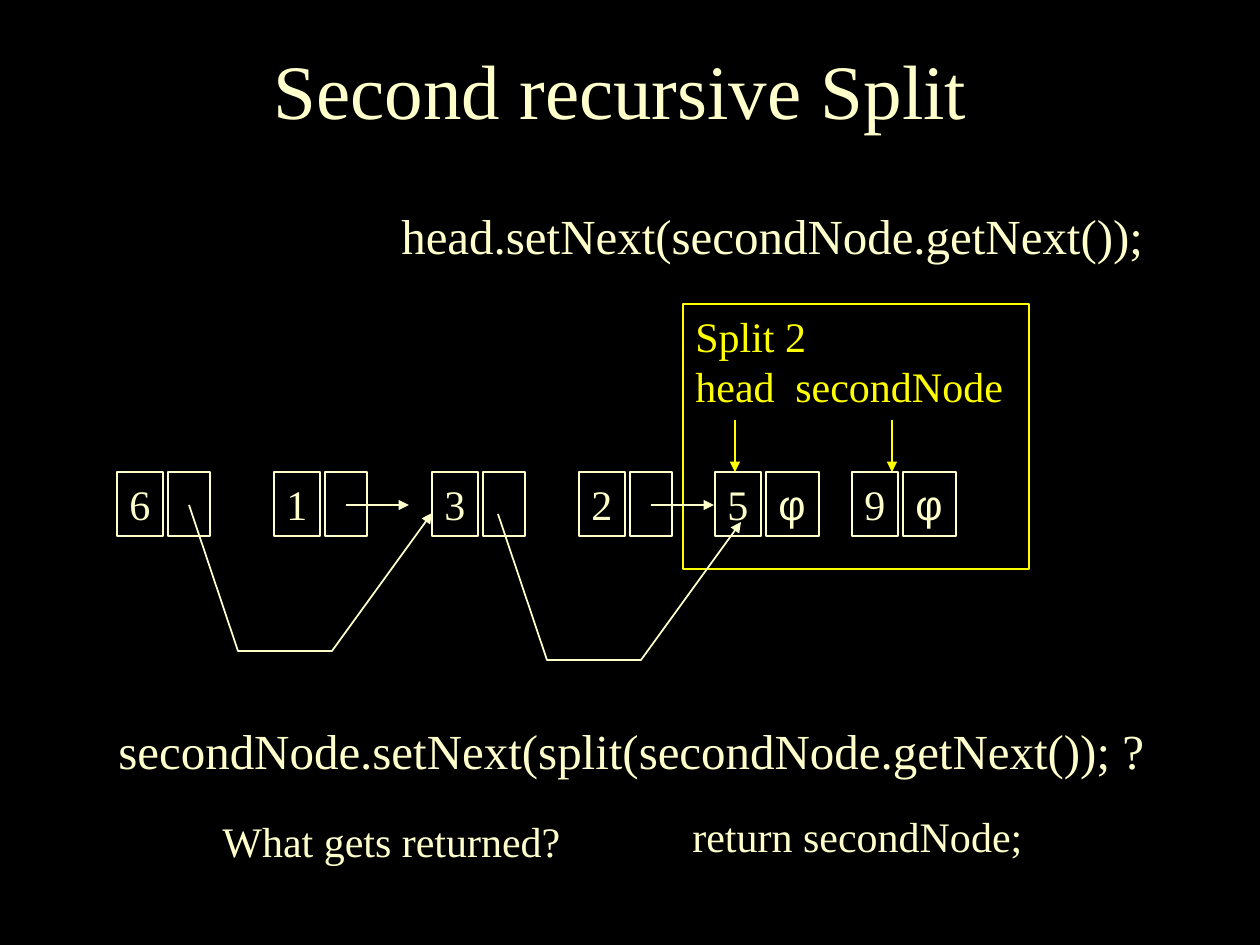
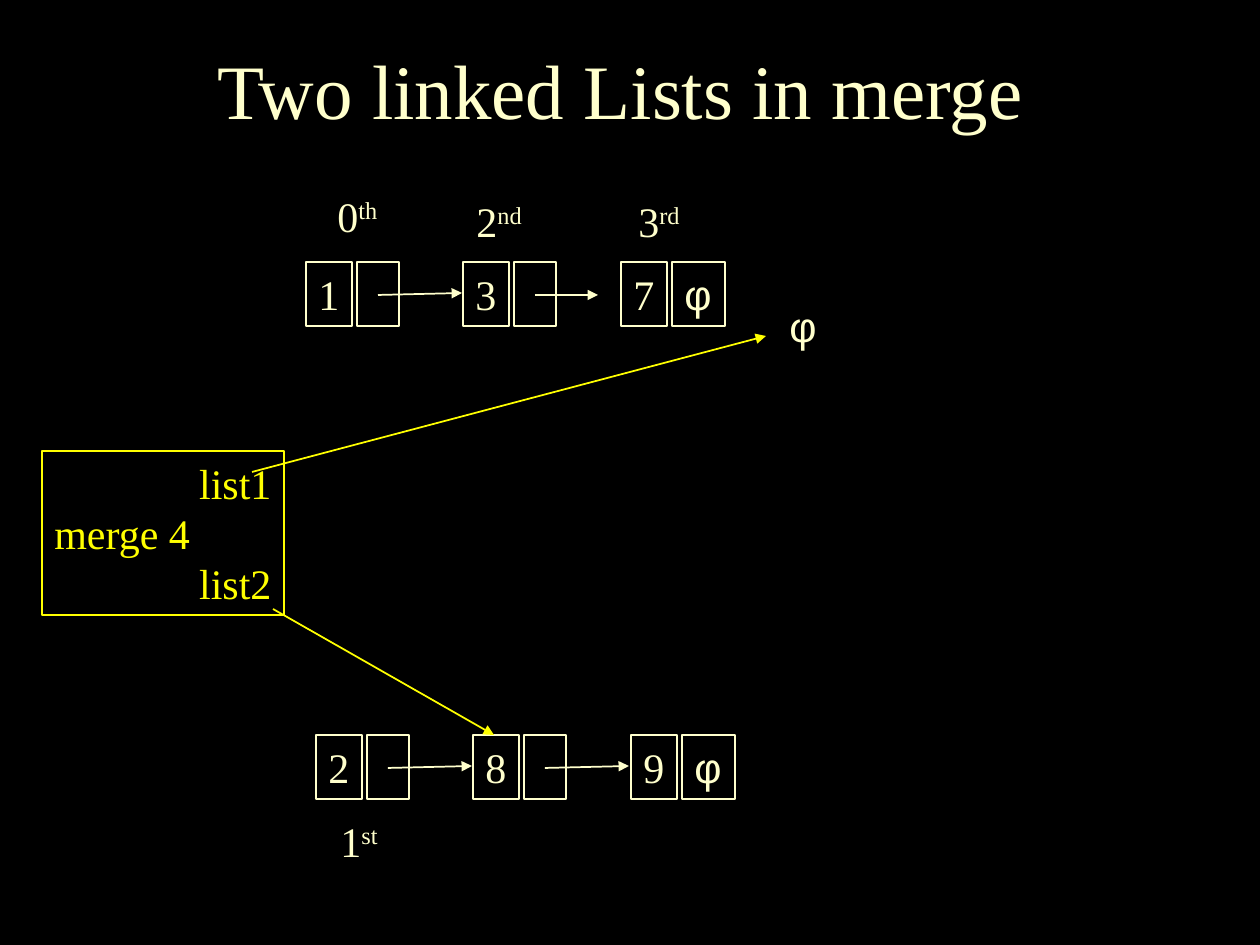
import pptx
import pptx.dml.color
import pptx.enum.shapes
import pptx.enum.text
import pptx.oxml.ns
import pptx.util
from lxml import etree

BLACK = pptx.dml.color.RGBColor(0x00, 0x00, 0x00)
CREAM = pptx.dml.color.RGBColor(0xFF, 0xFF, 0xCC)
YELLOW = pptx.dml.color.RGBColor(0xFF, 0xFF, 0x00)
SERIF, SANS = "Times New Roman", "Arial"
PHI = "φ"
LEFT, CENTER, RIGHT = (pptx.enum.text.PP_ALIGN[n] for n in ("LEFT", "CENTER", "RIGHT"))
PX = pptx.util.Inches(1) / 126

# A list node is a value cell followed by a link cell
CELL_HEIGHT, VALUE_WIDTH, LINK_WIDTH, END_WIDTH = 64, 46, 42, 53
LINK_OFFSET, POINTER_X, POINTER_Y = 51, 72, 33


def px(length):
    return pptx.util.Emu(round(length * PX))


def add_element(parent, tag, **attributes):
    return etree.SubElement(parent, pptx.oxml.ns.qn(tag), attributes)


class Deck:
    def __init__(self):
        self.prs = pptx.Presentation()
        self.prs.slide_width, self.prs.slide_height = px(1260), px(945)
        background = self.prs.slide_master.background.fill
        background.solid()
        background.fore_color.rgb = BLACK
        self.slide = None

    def new_slide(self, title):
        self.slide = self.prs.slides.add_slide(self.prs.slide_layouts[5])
        heading = self.slide.shapes.title
        heading.left, heading.top, heading.width, heading.height = map(px, (8, 40, 1225, 98))
        frame = heading.text_frame
        frame.auto_size = pptx.enum.text.MSO_AUTO_SIZE.NONE
        frame.vertical_anchor = pptx.enum.text.MSO_ANCHOR.MIDDLE
        frame.text = title
        self.style(frame.paragraphs[0], CREAM, 44, align=CENTER)

    def style(self, paragraph, color, size=24, font=SERIF, align=LEFT):
        paragraph.alignment = align
        paragraph.line_spacing = pptx.util.Pt(size * 1.2)
        paragraph.font.name = font
        paragraph.font.size = pptx.util.Pt(size)
        paragraph.font.color.rgb = color

    def text(self, x, y, width, height, text, size=24, font=SERIF, superscript=""):
        label = self.slide.shapes.add_textbox(*map(px, (x, y, width, height)))
        frame = label.text_frame
        frame.word_wrap = False
        frame.auto_size = pptx.enum.text.MSO_AUTO_SIZE.SHAPE_TO_FIT_TEXT
        paragraph = frame.paragraphs[0]
        paragraph.add_run().text = text
        if superscript:
            ordinal = paragraph.add_run()
            ordinal.text = superscript
            ordinal._r.get_or_add_rPr().set("baseline", "30000")
        self.style(paragraph, CREAM, size, font)

    def box(self, x, y, width, height, lines=(), color=CREAM, font=SERIF, wrap=True, tab=0):
        """Outlined rectangle; lines holds (text, alignment) pairs."""
        frame_shape = self.slide.shapes.add_shape(
            pptx.enum.shapes.MSO_SHAPE.RECTANGLE, *map(px, (x, y, width, height)))
        self.outline(frame_shape, color)
        frame = frame_shape.text_frame
        frame.word_wrap = wrap
        frame.vertical_anchor = pptx.enum.text.MSO_ANCHOR.TOP
        for i, (text, align) in enumerate(lines):
            paragraph = frame.add_paragraph() if i else frame.paragraphs[0]
            paragraph.add_run().text = text
            if tab:
                stops = add_element(paragraph._p.get_or_add_pPr(), "a:tabLst")
                add_element(stops, "a:tab", pos=str(px(tab)), algn="l")
            self.style(paragraph, color, font=font, align=align)

    def outline(self, shape, color):
        shape.shadow.inherit = False
        shape.fill.background()
        self.stroke(shape, color)

    def stroke(self, shape, color):
        shape.line.color.rgb = color
        shape.line.width = pptx.util.Pt(1)

    def arrowhead(self, shape):
        add_element(shape.line._get_or_add_ln(), "a:tailEnd", type="triangle")

    def arrow(self, x1, y1, x2, y2, color=CREAM):
        pointer = self.slide.shapes.add_connector(
            pptx.enum.shapes.MSO_CONNECTOR.STRAIGHT, *map(px, (x1, y1, x2, y2)))
        self.stroke(pointer, color)
        self.arrowhead(pointer)
        add_element(pointer._element.spPr, "a:effectLst")

    def bent_arrow(self, points):
        start, *rest = [tuple(map(px, point)) for point in points]
        builder = self.slide.shapes.build_freeform(*start)
        builder.add_line_segments(rest, close=False)
        pointer = builder.convert_to_shape()
        self.outline(pointer, CREAM)
        self.arrowhead(pointer)

    def node(self, x, y, value, last=False, pointer=None):
        """List node; pointer is the (dx, dy) of the arrow to the next node."""
        self.box(x, y, VALUE_WIDTH, CELL_HEIGHT, [(value, LEFT)], wrap=False)
        link_x = x + LINK_OFFSET
        if last:
            self.box(link_x, y, END_WIDTH, CELL_HEIGHT, [(PHI, LEFT)], font=SANS)
        else:
            self.box(link_x, y, LINK_WIDTH, CELL_HEIGHT)
        if pointer:
            from_x, from_y = x + POINTER_X, y + POINTER_Y
            self.arrow(from_x, from_y, from_x + pointer[0], from_y + pointer[1])


def second_split(deck):
    deck.new_slide("Second recursive Split")
    deck.box(683, 304, 346, 265, [("Split 2", LEFT), ("head\tsecondNode", LEFT)],
             color=YELLOW, tab=100)

    # Linked list
    for x, value, last, pointer in [
            (117, "6", False, None), (274, "1", False, (63, 0)), (432, "3", False, None),
            (579, "2", False, (63, 0)), (715, "5", True, None), (852, "9", True, None)]:
        deck.node(x, 472, value, last, pointer)

    # Links that skip a node
    skip = [(189, 505), (238, 651), (332, 651), (432, 513)]
    for dx, dy in [(0, 0), (309, 9)]:
        deck.bent_arrow([(x + dx, y + dy) for x, y in skip])

    # Arrows from head and secondNode
    for x in (735, 892):
        deck.arrow(x, 420, x, 472, YELLOW)

    # Statements
    deck.text(389, 199, 779, 72, "head.setNext(secondNode.getNext());", 28)
    deck.text(106, 714, 1063, 72, "secondNode.setNext(split(secondNode.getNext()); ?", 28)
    deck.text(210, 809, 373, 63, "What gets returned?")
    deck.text(680, 804, 355, 63, "return secondNode;")


def merge_lists(deck):
    deck.new_slide("Two linked Lists in merge")

    # Upper and lower list
    for left, top, values, pointers in [
            (306, 262, "137", [(84, -2), (63, 0), None]),
            (316, 735, "289", [(84, -2), (84, -2), None])]:
        for i, (value, pointer) in enumerate(zip(values, pointers)):
            deck.node(left + i * 315 // 2, top, value, pointer is None, pointer)

    # Merge call and its two arguments
    deck.box(42, 451, 242, 164, [("list1", RIGHT), ("merge 4", LEFT), ("list2", RIGHT)],
             color=YELLOW)
    deck.arrow(252, 472, 766, 336, YELLOW)
    deck.arrow(273, 609, 494, 735, YELLOW)
    deck.text(777, 294, 47, 63, PHI, font=SANS)

    # Order of merging
    for x, y, width, number, suffix in [
            (325, 184, 76, "0", "th"), (328, 809, 83, "1", "st"),
            (464, 189, 91, "2", "nd"), (626, 189, 77, "3", "rd")]:
        deck.text(x, y, width, 63, number, superscript=suffix)


def main():
    deck = Deck()
    second_split(deck)
    merge_lists(deck)
    deck.prs.save("out.pptx")


if __name__ == "__main__":
    main()
